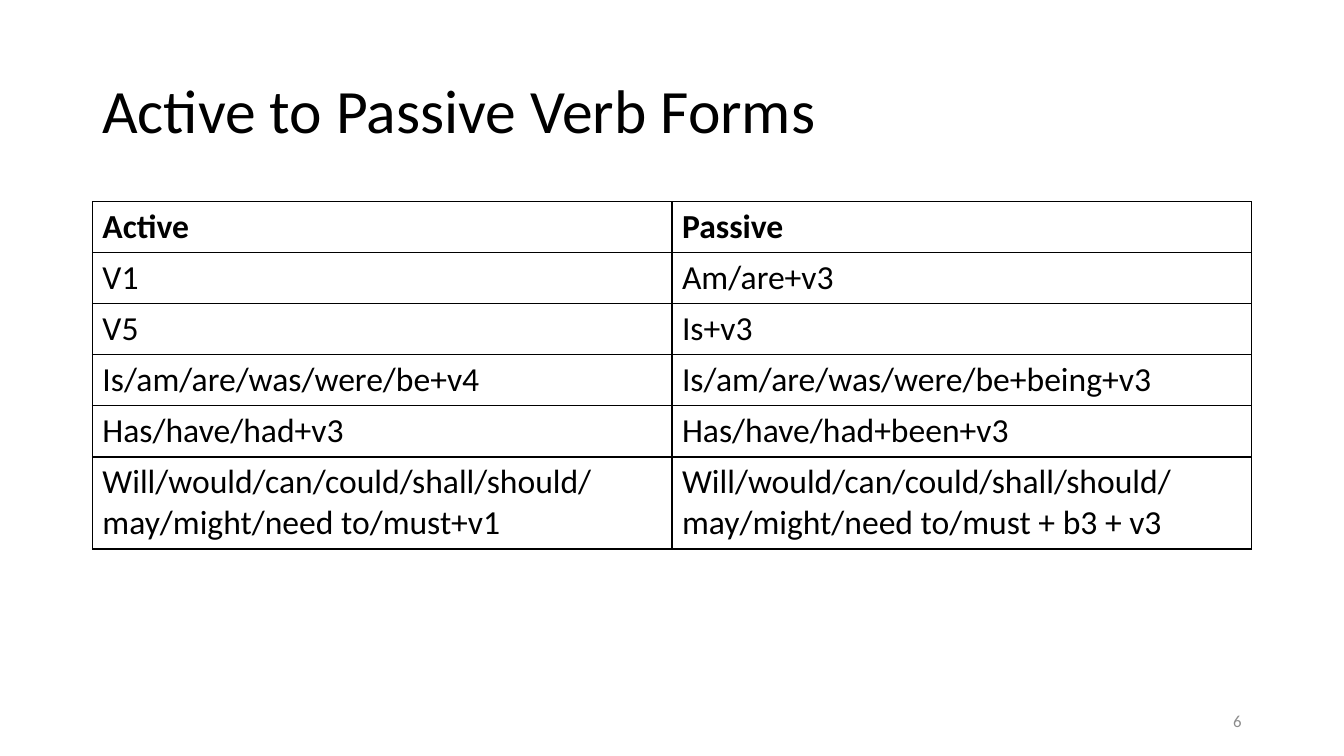
from lxml.etree import SubElement
from pptx import Presentation
from pptx.dml.color import RGBColor
from pptx.enum.text import MSO_ANCHOR, PP_ALIGN
from pptx.oxml.ns import qn
from pptx.util import Pt

# Content
TITLE = "Active to Passive Verb Forms"
PAGE_NUMBER = "6"
VERB_FORMS = [
    ("Active", "Passive"),
    ("V1", "Am/are+v3"),
    ("V5", "Is+v3"),
    ("Is/am/are/was/were/be+v4", "Is/am/are/was/were/be+being+v3"),
    ("Has/have/had+v3", "Has/have/had+been+v3"),
    ("Will/would/can/could/shall/should/may/might/need to/must+v1",
     "Will/would/can/could/shall/should/may/might/need to/must + b3 + v3"),
]

# Theme and layout, in points
THEME = {
    "font": "Calibri", "ink": "000000", "paper": "FFFFFF", "muted": "8C8C8C",
    "title": 44, "body": 24, "small": 12, "border": 1,
}
MARGIN, WIDTH = 66, 828
ROW_HEIGHT, LAST_ROW_HEIGHT = 36.5, 65.8


def style(para, size, color, bold=False):
    for span in para.runs:
        span.font.name = THEME["font"]
        span.font.size = Pt(size)
        span.font.bold = bold
        span.font.color.rgb = RGBColor.from_string(color)


def add_text(page, text, left, top, width, height, size, color):
    box = page.shapes.add_textbox(Pt(left), Pt(top), Pt(width), Pt(height))
    frame = box.text_frame
    frame.word_wrap = True
    frame.vertical_anchor = MSO_ANCHOR.MIDDLE
    frame.text = text
    para = frame.paragraphs[0]
    style(para, size, color)
    return para


def add_borders(cell):
    properties = cell._tc.get_or_add_tcPr()
    for position, side in enumerate(("lnL", "lnR", "lnT", "lnB")):
        line = SubElement(properties, qn(f"a:{side}"), w=str(Pt(THEME["border"])))
        fill = SubElement(line, qn("a:solidFill"))
        SubElement(fill, qn("a:srgbClr"), val=THEME["ink"])
        properties.insert(position, line)


deck = Presentation()
deck.slide_width, deck.slide_height = Pt(960), Pt(540)
page = deck.slides.add_slide(deck.slide_layouts[6])

# Title
title = add_text(page, TITLE, MARGIN, 28.8, WIDTH, 104.4, THEME["title"], THEME["ink"])
title.line_spacing = 0.9

# Verb form table
heights = [ROW_HEIGHT] * (len(VERB_FORMS) - 1) + [LAST_ROW_HEIGHT]
table = page.shapes.add_table(len(VERB_FORMS), 2, Pt(MARGIN), Pt(144),
                              Pt(WIDTH), Pt(sum(heights))).table
table.horz_banding = False
for column in table.columns:
    column.width = Pt(WIDTH / 2)
for row_index, (forms, height) in enumerate(zip(VERB_FORMS, heights)):
    table.rows[row_index].height = Pt(height)
    for column_index, form in enumerate(forms):
        cell = table.cell(row_index, column_index)
        cell.text_frame.text = form
        style(cell.text_frame.paragraphs[0], THEME["body"], THEME["ink"],
              bold=row_index == 0)
        cell.fill.solid()
        cell.fill.fore_color.rgb = RGBColor.from_string(THEME["paper"])
        add_borders(cell)

# Page number
number = add_text(page, PAGE_NUMBER, MARGIN + WIDTH - 216, 500.5, 216, 28.75,
                  THEME["small"], THEME["muted"])
number.alignment = PP_ALIGN.RIGHT

deck.save("out.pptx")
